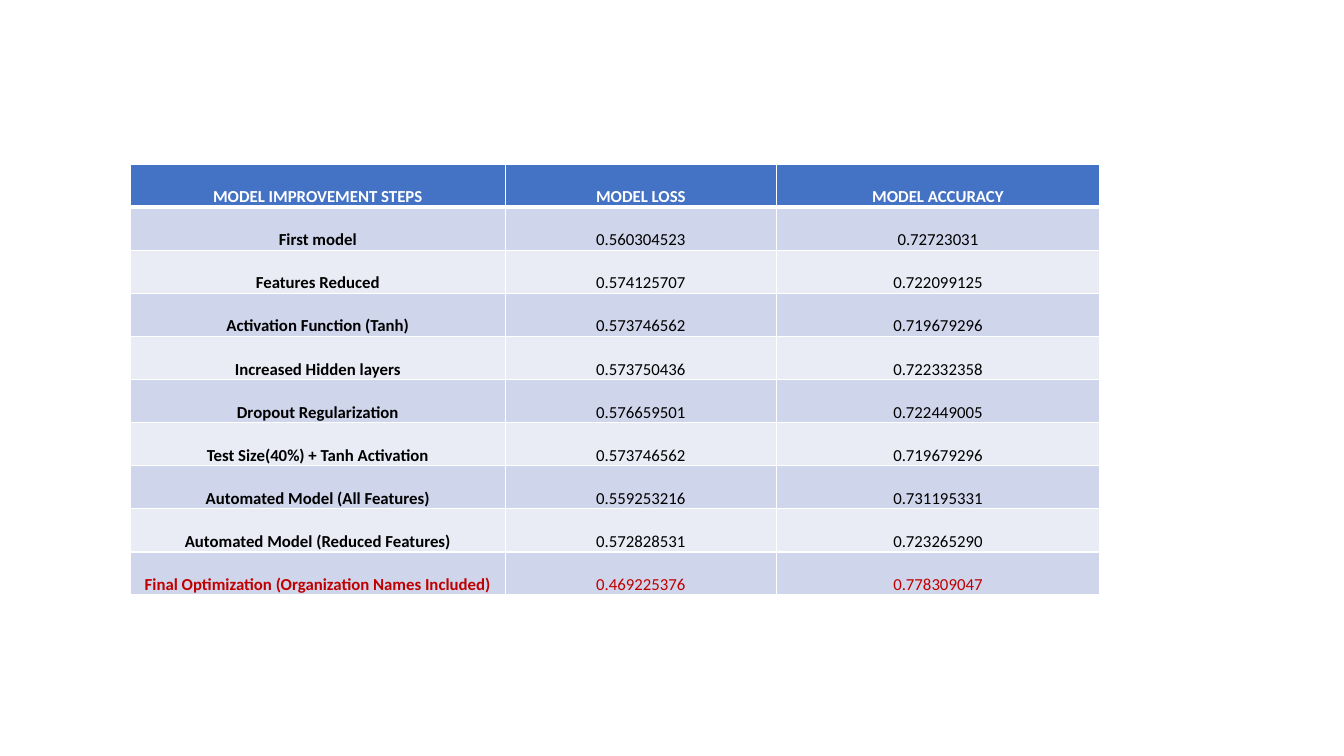
from pptx import Presentation
from pptx.dml.color import RGBColor as RGB
from pptx.enum.text import MSO_ANCHOR as ANCHOR, PP_ALIGN as ALIGN
from pptx.oxml.ns import qn
from pptx.util import Pt
from lxml.etree import SubElement

COLORS = {
    "header": "4472C4",
    "odd": "CFD5EA",
    "even": "E9EBF5",
    "white": "FFFFFF",
    "text": "000000",
    "best": "C00000",
}

HEADER = ("MODEL IMPROVEMENT STEPS", "MODEL LOSS", "MODEL ACCURACY")
STEPS = [
    ("First model", "0.560304523", "0.72723031"),
    ("Features Reduced", "0.574125707", "0.722099125"),
    ("Activation Function (Tanh)", "0.573746562", "0.719679296"),
    ("Increased Hidden layers", "0.573750436", "0.722332358"),
    ("Dropout Regularization", "0.576659501", "0.722449005"),
    ("Test Size(40%) + Tanh Activation", "0.573746562", "0.719679296"),
    ("Automated Model (All Features)", "0.559253216", "0.731195331"),
    ("Automated Model (Reduced Features)", "0.572828531", "0.723265290"),
    ("Final Optimization (Organization Names Included)", "0.469225376", "0.778309047"),
]


class Deck:
    font = {"name": "Calibri", "size": Pt(12)}
    cell_format = {
        "vertical_anchor": ANCHOR.BOTTOM,
        "margin_left": Pt(0.6),
        "margin_top": Pt(0.6),
        "margin_right": Pt(0.6),
        "margin_bottom": Pt(0),
    }

    def __init__(self, width, height):
        self.prs = Presentation()
        self.prs.slide_width, self.prs.slide_height = Pt(width), Pt(height)
        self.slide = self.prs.slides.add_slide(self.prs.slide_layouts[6])

    def borders(self, cell, widths):
        tc_pr = cell._tc.get_or_add_tcPr()
        for side, width in zip("LRTB", widths):
            ln = SubElement(tc_pr, qn(f"a:ln{side}"), w=str(Pt(width)))
            fill = SubElement(ln, qn("a:solidFill"))
            SubElement(fill, qn("a:srgbClr"), val=COLORS["white"])

    def cell(self, cell, text, fill, color, bold, widths):
        self.borders(cell, widths)
        cell.fill.solid()
        cell.fill.fore_color.rgb = RGB.from_string(COLORS[fill])
        for name, value in self.cell_format.items():
            setattr(cell, name, value)
        p = cell.text_frame.paragraphs[0]
        p.alignment = ALIGN.CENTER
        r = p.add_run()
        r.text = text
        for name, value in {**self.font, "bold": bold}.items():
            setattr(r.font, name, value)
        r.font.color.rgb = RGB.from_string(COLORS[color])

    def table(self, left, top, col_widths, row_height, rows):
        sp = self.slide.shapes.add_table(
            len(rows), len(col_widths), Pt(left), Pt(top),
            Pt(sum(col_widths)), Pt(row_height * len(rows)))
        table = sp.table
        for column, width in zip(table.columns, col_widths):
            column.width = Pt(width)
        last = len(rows) - 1
        for i, values in enumerate(rows):
            table.rows[i].height = Pt(row_height)
            fill = "header" if i == 0 else "odd" if i % 2 else "even"
            color = {0: "white", last: "best"}.get(i, "text")
            widths = (1, 1, 3 if i == 1 else 1, 3 if i == 0 else 1)
            for j, text in enumerate(values):
                self.cell(table.cell(i, j), text, fill, color,
                          i == 0 or j == 0, widths)


deck = Deck(960, 540)
deck.table(93.2, 117.2, (267.6, 194, 230.4), 30.8, [HEADER] + STEPS)
deck.prs.save("out.pptx")
